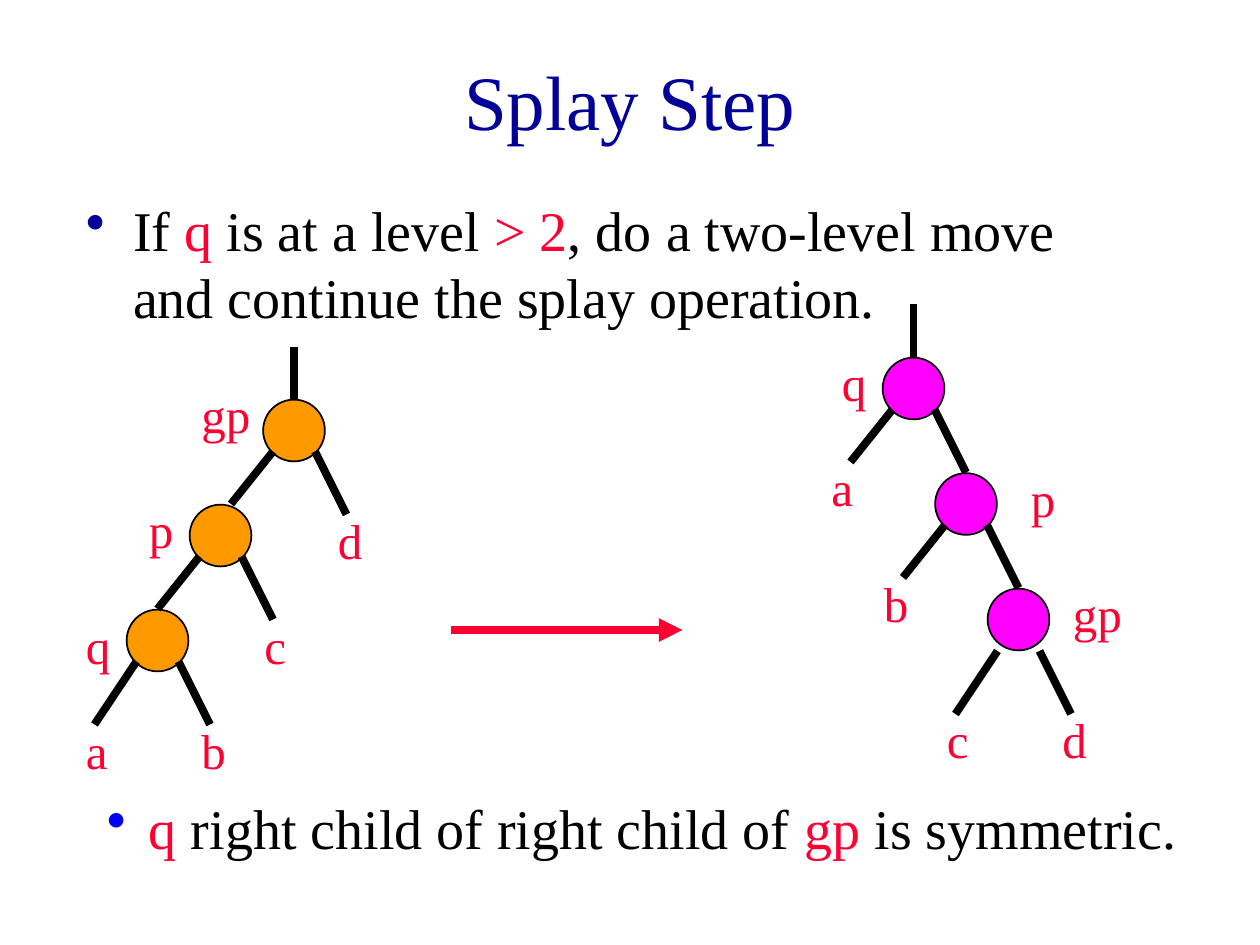
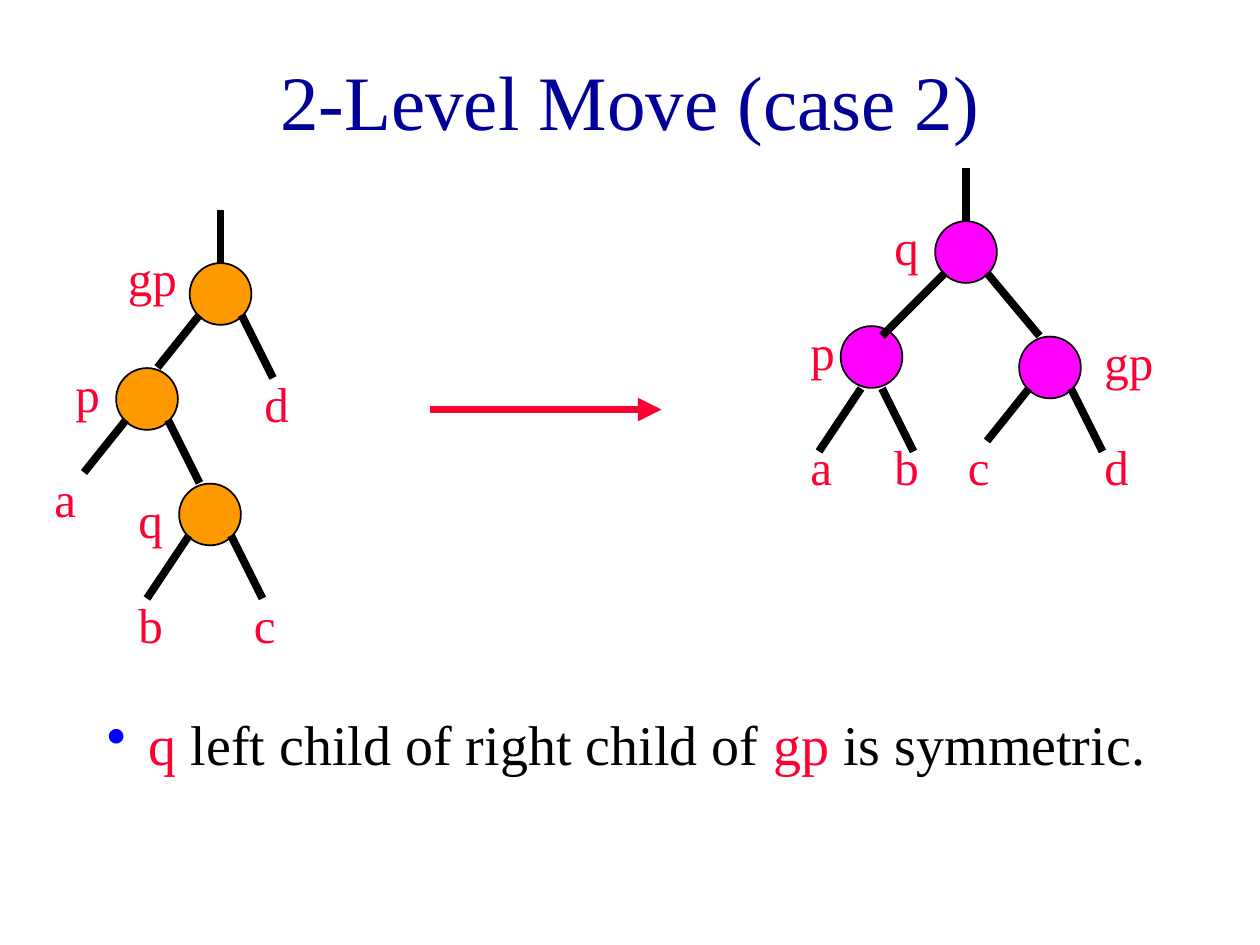
from dataclasses import dataclass

from lxml.etree import SubElement
from pptx import Presentation
from pptx.dml.color import RGBColor
from pptx.enum.shapes import MSO_CONNECTOR, MSO_SHAPE
from pptx.enum.text import MSO_ANCHOR, PP_ALIGN
from pptx.oxml.ns import qn
from pptx.util import Cm, Pt


@dataclass(frozen=True)
class Theme:
    font: str = "Times New Roman"
    title: str = "000099"
    body: str = "000000"
    accent: str = "FF0033"
    caption_bullet: str = "0000FF"
    before: str = "FF9900"
    after: str = "FF00FF"
    title_size: int = 44
    body_size: int = 32
    label_size: int = 28
    branch_width: float = 4.5
    outline_width: float = 1


@dataclass(frozen=True)
class Node:
    x: float
    y: float
    start: tuple = (2, 2)
    left: tuple = (-6, 7)
    right: tuple = (5, 8)


THEME = Theme()
RADIUS = 2.94
STEM_TOP = 8


def grid(steps):
    return Cm(steps * 2.54 / 12)


def write_text(paragraph, text, size=THEME.label_size, color=THEME.accent, font=THEME.font):
    run = paragraph.add_run()
    run.text = text
    run.font.size = Pt(size)
    run.font.name = font
    run.font.color.rgb = RGBColor.from_string(color)


class Deck:
    def __init__(self, theme):
        self.theme = theme
        self.presentation = Presentation()
        self.presentation.slide_width = Cm(25.4)
        self.presentation.slide_height = Cm(19.05)
        self.slide = None
        self.shapes = None

    def add_slide(self, heading):
        self.slide = self.presentation.slides.add_slide(self.presentation.slide_layouts[5])
        self.shapes = self.slide.shapes
        title = self.shapes.title
        title.left, title.top, title.width, title.height = map(grid, (9, 2, 102, 15))
        title.text_frame.vertical_anchor = MSO_ANCHOR.MIDDLE
        paragraph = title.text_frame.paragraphs[0]
        paragraph.alignment = PP_ALIGN.CENTER
        write_text(paragraph, heading, size=self.theme.title_size, color=self.theme.title)

    def text_box(self, x, y, width, height):
        box = self.shapes.add_textbox(*map(grid, (x, y, width, height)))
        box.text_frame.word_wrap = True
        return box.text_frame.paragraphs[0]

    def bullet(self, x, y, width, height, parts, indent, color):
        paragraph = self.text_box(x, y, width, height)
        properties = paragraph._p.get_or_add_pPr()
        properties.set("marL", str(grid(indent)))
        properties.set("indent", str(-grid(indent)))
        bullet_color = SubElement(properties, qn("a:buClr"))
        SubElement(bullet_color, qn("a:srgbClr"), val=color)
        SubElement(properties, qn("a:buChar"), char="•")
        for text, highlighted in parts:
            write_text(paragraph, text, size=self.theme.body_size,
                       color=self.theme.accent if highlighted else self.theme.body)

    def caption(self, y, relation):
        parts = [("q", True), (f" {relation} child of right child of ", False),
                 ("gp", True), (" is symmetric.", False)]
        self.bullet(9, y, 111, 7.7, parts, 4, self.theme.caption_bullet)

    def label(self, text, x, y):
        width = 4 if text in ("p", "q") else 8
        write_text(self.text_box(x, y, width, 6.8), text)

    def line(self, start, end, color):
        connector = self.shapes.add_connector(
            MSO_CONNECTOR.STRAIGHT, *map(grid, (*start, *end)))
        connector.line.color.rgb = RGBColor.from_string(color)
        connector.line.width = Pt(self.theme.branch_width)
        SubElement(connector._element.spPr, qn("a:effectLst"))
        return connector

    def arrow(self, x, y):
        connector = self.line((x, y), (x + 22, y), self.theme.accent)
        SubElement(connector.line._get_or_add_ln(), qn("a:tailEnd"), type="triangle")

    def node(self, node, color):
        circle = self.shapes.add_shape(
            MSO_SHAPE.OVAL, grid(node.x - RADIUS), grid(node.y - RADIUS),
            grid(2 * RADIUS), grid(2 * RADIUS))
        circle.shadow.inherit = False
        circle.fill.solid()
        circle.fill.fore_color.rgb = RGBColor.from_string(color)
        circle.line.color.rgb = RGBColor.from_string(self.theme.body)
        circle.line.width = Pt(self.theme.outline_width)

    def branches(self, node):
        dx, dy = node.start
        for side, (end_x, end_y) in ((-1, node.left), (1, node.right)):
            self.line((node.x + side * dx, node.y + dy),
                      (node.x + end_x, node.y + end_y), self.theme.body)

    def tree(self, nodes, labels, color):
        self.shapes = self.slide.shapes.add_group_shape().shapes
        for node in nodes:
            self.node(node, color)
        for node in nodes:
            self.branches(node)
        root = nodes[0]
        self.line((root.x, root.y - RADIUS), (root.x, root.y - STEM_TOP), self.theme.body)
        for text, (x, y) in labels.items():
            self.label(text, x, y)
        self.shapes = self.slide.shapes


def splay_step(deck):
    deck.add_slide("Splay Step")
    deck.bullet(7, 18, 102, 15, [
        ("If ", False), ("q", True), (" is at a level ", False), ("> 2", True),
        (", do a two-level move and continue the splay operation.", False),
    ], 4.5, THEME.title)
    deck.arrow(43, 60)
    deck.caption(75, "right")
    deck.tree(
        [Node(28, 41), Node(21, 51), Node(15, 61, left=(-6, 8))],
        {"gp": (18, 36), "p": (13, 47), "q": (7, 58),
         "a": (7, 68), "b": (18, 68), "c": (24, 58), "d": (31, 48)},
        THEME.before)
    deck.tree(
        [Node(87, 37), Node(92, 48),
         Node(97, 59, start=(2, 3), left=(-6, 9), right=(5, 9))],
        {"q": (79, 33), "p": (97, 44), "gp": (101, 55),
         "a": (78, 43), "b": (83, 54), "c": (89, 67), "d": (100, 67)},
        THEME.after)


def two_level_move(deck):
    deck.add_slide("2-Level Move (case 2)")
    deck.arrow(41, 39)
    deck.caption(67, "left")
    deck.tree(
        [Node(21, 28), Node(14, 38), Node(20, 49, left=(-6, 8))],
        {"gp": (11, 23), "p": (6, 34), "q": (12, 46),
         "a": (4, 44), "b": (12, 56), "c": (23, 56), "d": (24, 35)},
        THEME.before)
    deck.tree(
        [Node(92, 24, left=(-8, 8), right=(7, 8)),
         Node(83, 34, start=(1, 3), left=(-5, 9), right=(4, 9)),
         Node(100, 35)],
        {"q": (84, 20), "p": (76, 30), "gp": (104, 31),
         "a": (76, 41), "b": (84, 41), "c": (91, 41), "d": (104, 41)},
        THEME.after)


def main():
    deck = Deck(THEME)
    splay_step(deck)
    two_level_move(deck)
    deck.presentation.save("out.pptx")


if __name__ == "__main__":
    main()
